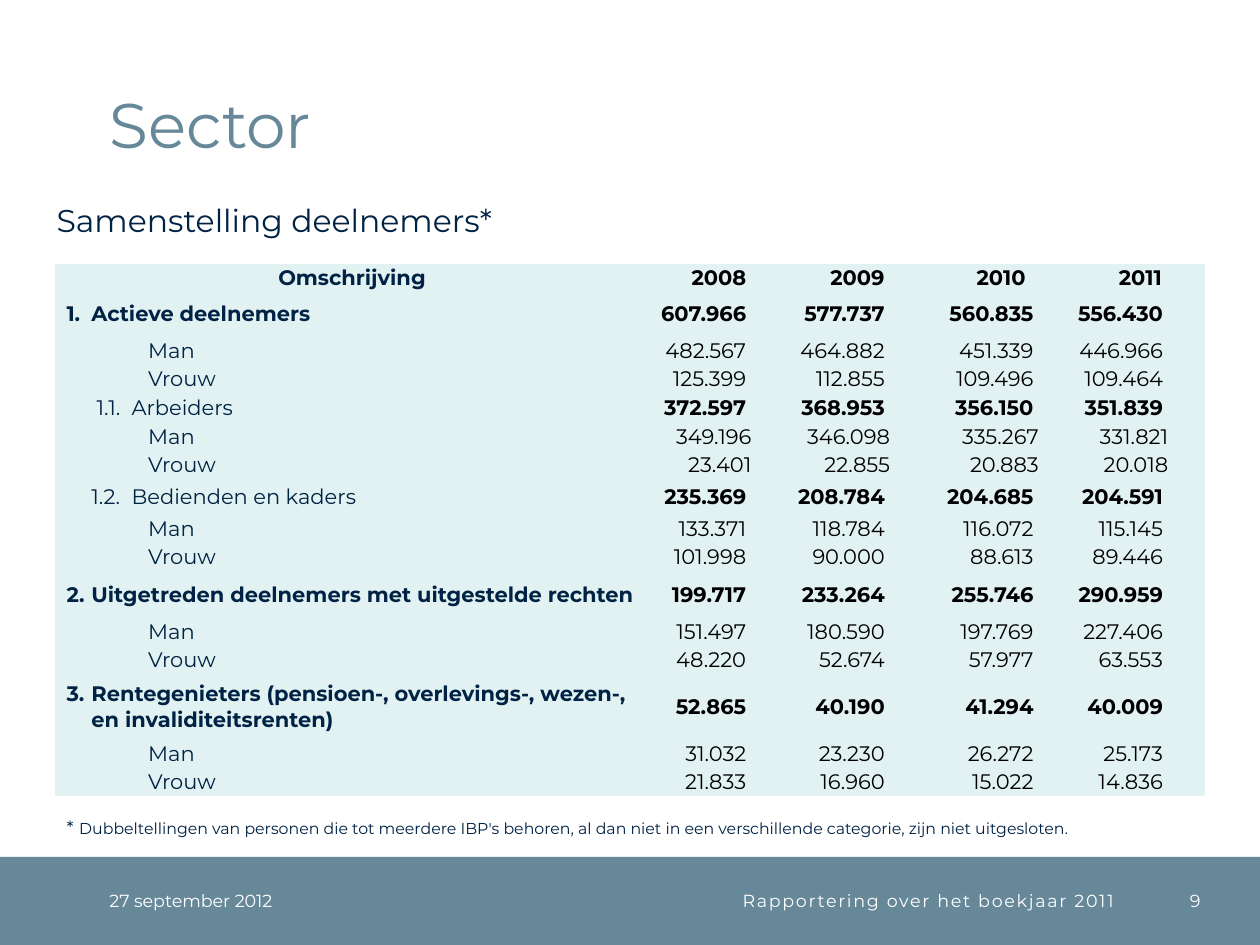
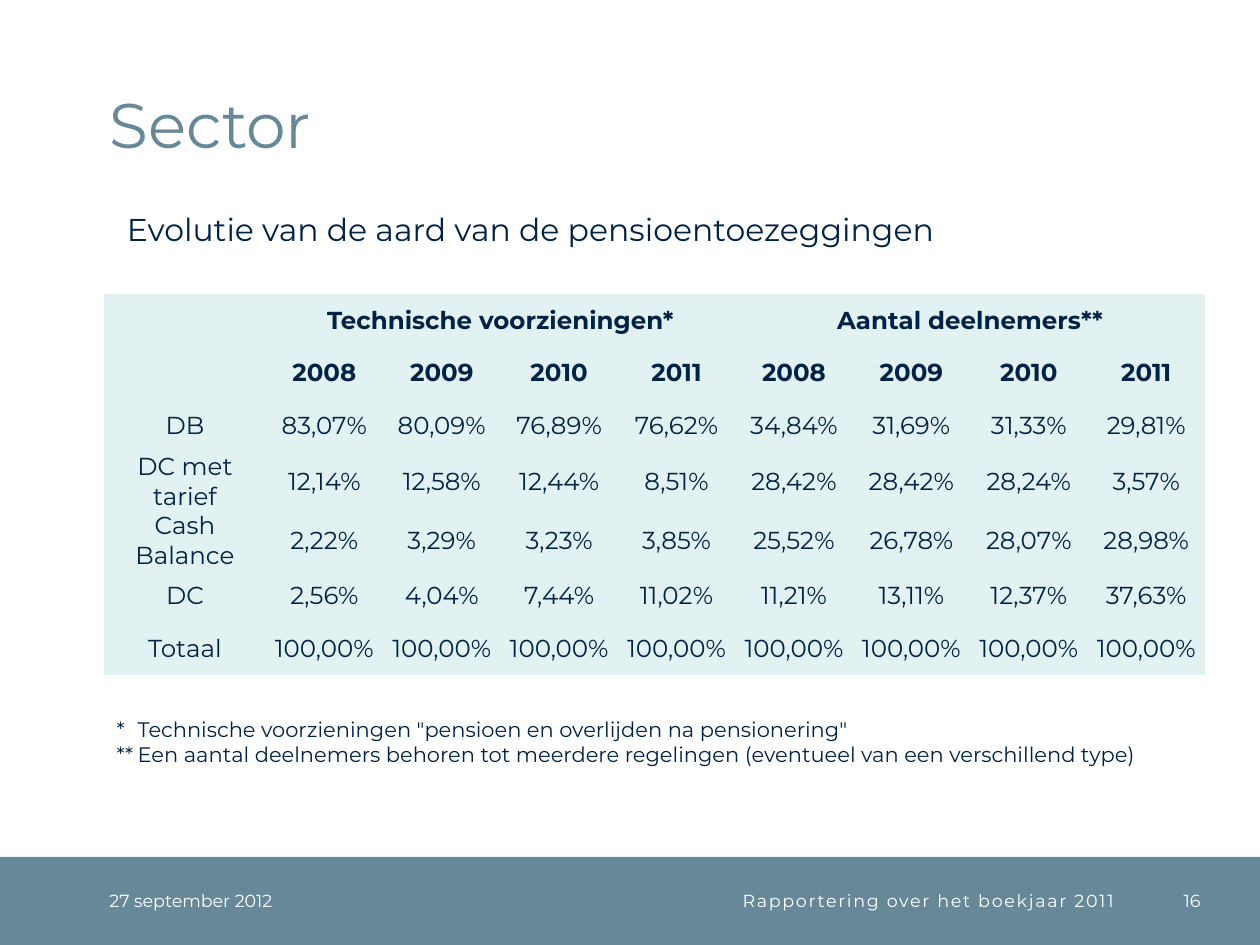
from pptx import Presentation
from pptx.dml.color import RGBColor
from pptx.enum import shapes, text
from pptx.util import Pt

FONT = "Montserrat"
SLATE = RGBColor(0x66, 0x88, 0x99)
NAVY = RGBColor(0x00, 0x22, 0x44)
PALE = RGBColor(0xE2, 0xF2, 0xF2)
BLACK = RGBColor(0, 0, 0)
WHITE = RGBColor(255, 255, 255)
LEFT, CENTER, RIGHT = text.PP_ALIGN.LEFT, text.PP_ALIGN.CENTER, text.PP_ALIGN.RIGHT
NO_STYLE = "{2D5ABB26-0587-4C30-8999-92F81FD0307C}"
YEARS = ["2008", "2009", "2010", "2011"]


def write(para, words, size, color=NAVY, bold=False, align=LEFT, margin=0, hang=0):
    """Fill a paragraph; margin and hang (points) place its hanging indent."""
    para.text = words
    para.alignment = align
    para.font.name = FONT
    para.font.size = Pt(size)
    para.font.bold = bold
    para.font.color.rgb = color
    if margin:
        properties = para._p.get_or_add_pPr()
        properties.set("marL", str(Pt(margin)))
        properties.set("indent", str(Pt(-hang)))


def add_plain_table(page, left, top, widths, heights):
    """Add a borderless table of pale cells without margins."""
    frame = page.shapes.add_table(len(heights), len(widths), Pt(left), Pt(top),
                                  Pt(sum(widths)), Pt(sum(heights)))
    table = frame.table
    table.first_row = table.horz_banding = False
    table._tbl.tblPr[0].text = NO_STYLE
    for column, width in zip(table.columns, widths):
        column.width = Pt(width)
    for row, height in zip(table.rows, heights):
        row.height = Pt(height)
    for cell in table.iter_cells():
        cell.fill.solid()
        cell.fill.fore_color.rgb = PALE
        cell.vertical_anchor = text.MSO_ANCHOR.MIDDLE
        cell.margin_left = cell.margin_right = cell.margin_top = cell.margin_bottom = 0
        cell.text_frame.paragraphs[0].font.size = Pt(12)
    return table


deck = Presentation()
deck.slide_width, deck.slide_height = Pt(720), Pt(540)

# Title, subtitle, band and footers of both pages
pages = []
for number, subtitle, left, top, width in [
    ("9", "Samenstelling deelnemers*", 25.2, 111.6, 300),
    ("16", "Evolutie van de aard van de pensioentoezeggingen", 65.5, 116.6, 607),
]:
    page = deck.slides.add_slide(deck.slide_layouts[5])
    pages.append(page)

    title = page.shapes.title
    title.left, title.top, title.width, title.height = Pt(62.6), Pt(14.4), Pt(621.4), Pt(77.8)
    frame = title.text_frame
    frame.margin_left = frame.margin_right = frame.margin_top = frame.margin_bottom = 0
    frame.vertical_anchor = text.MSO_ANCHOR.BOTTOM
    frame.auto_size = text.MSO_AUTO_SIZE.NONE
    write(frame.paragraphs[0], "Sector", 36, SLATE)
    frame.paragraphs[0].line_spacing = Pt(32)

    band = page.shapes.add_shape(shapes.MSO_SHAPE.RECTANGLE, 0, Pt(489.6), Pt(720), Pt(50.4))
    band.shadow.inherit = False
    band.fill.solid()
    band.fill.fore_color.rgb = SLATE
    band.line.fill.background()

    for words, footer_left, footer_width, align, spacing in [
        ("27 september 2012", 62.6, 127.4, LEFT, 0),
        ("Rapportering over het boekjaar 2011", 190, 446.5, RIGHT, 100),
        (number, 651, 35, RIGHT, 0),
    ]:
        box = page.shapes.add_textbox(Pt(footer_left), Pt(489.6), Pt(footer_width), Pt(50.4))
        frame = box.text_frame
        frame.word_wrap = True
        frame.margin_left = frame.margin_right = frame.margin_top = frame.margin_bottom = 0
        frame.vertical_anchor = text.MSO_ANCHOR.MIDDLE
        write(frame.paragraphs[0], words, 10, WHITE, align=align)
        if spacing:
            frame.paragraphs[0].runs[0].font._element.set("spc", str(spacing))

    box = page.shapes.add_textbox(Pt(left), Pt(top), Pt(width), Pt(28.8))
    box.text_frame.word_wrap = True
    write(box.text_frame.paragraphs[0], subtitle, 18)

members_page, pledges_page = pages

# Members: height, label, bold label, margin, hang, right margin, values
MAN, VROUW = ("Man", False, 53.5, 0), ("Vrouw", False, 53.5, 0)
members = [
    (25.3, ("1.\tActieve deelnemers", True, 21, 14.2), 24, "607.966 577.737 560.835 556.430"),
    (16, MAN, 24, "482.567 464.882 451.339 446.966"),
    (16, VROUW, 24, "125.399 112.855 109.496 109.464"),
    (17.5, ("1.1.\tArbeiders", False, 44, 20), 24, "372.597 368.953 356.150 351.839"),
    (16, MAN, 21, "349.196 346.098 335.267 331.821"),
    (16, VROUW, 21, "23.401 22.855 20.883 20.018"),
    (20.8, ("1.2.\tBedienden en kaders", False, 44, 23), 24, "235.369 208.784 204.685 204.591"),
    (16, MAN, 24, "133.371 118.784 116.072 115.145"),
    (16, VROUW, 24, "101.998 90.000 88.613 89.446"),
    (26.8, ("2.\tUitgetreden deelnemers met uitgestelde rechten", True, 21, 14.2), 24,
     "199.717 233.264 255.746 290.959"),
    (16, MAN, 24, "151.497 180.590 197.769 227.406"),
    (16, VROUW, 24, "48.220 52.674 57.977 63.553"),
    (37.6, ("3.\tRentegenieters (pensioen-, overlevings-, wezen-, en invaliditeitsrenten)",
            True, 21, 14.2), 24, "52.865 40.190 41.294 40.009"),
    (16, MAN, 24, "31.032 23.230 26.272 25.173"),
    (16, VROUW, 24, "21.833 16.960 15.022 14.836"),
]
table = add_plain_table(members_page, 31.2, 151, [340, 79.2, 79.2, 85, 74],
                        [16] + [member[0] for member in members])
for col, heading in enumerate(["Omschrijving"] + YEARS):
    write(table.cell(0, col).text_frame.paragraphs[0], heading, 12,
          BLACK if col else NAVY, True, CENTER)
for row, (_, (label, bold, margin, hang), right, values) in enumerate(members, 1):
    write(table.cell(row, 0).text_frame.paragraphs[0], label, 12, NAVY, bold,
          margin=margin, hang=hang)
    for col, value in enumerate(values.split(), 1):
        cell = table.cell(row, col)
        cell.margin_right = Pt(right)
        write(cell.text_frame.paragraphs[0], value, 12, BLACK, hang > 0, RIGHT)

box = members_page.shapes.add_textbox(Pt(31), Pt(463), Pt(674.6), Pt(20))
box.text_frame.word_wrap = True
para = box.text_frame.paragraphs[0]
write(para, "*", 9, margin=7.2, hang=7.2)
para.runs[0].font.size = Pt(10.5)
span = para.add_run()
span.text = ("\tDubbeltellingen van personen die tot meerdere IBP's behoren, "
             "al dan niet in een verschillende categorie, zijn niet uitgesloten.")

# Pledges: shares per year of provisions, then of members
pledges = [
    ("DB", "83,07% 80,09% 76,89% 76,62% 34,84% 31,69% 31,33% 29,81%".split()),
    ("DC met tarief", "12,14% 12,58% 12,44% 8,51% 28,42% 28,42% 28,24% 3,57%".split()),
    ("Cash Balance", "2,22% 3,29% 3,23% 3,85% 25,52% 26,78% 28,07% 28,98%".split()),
    ("DC", "2,56% 4,04% 7,44% 11,02% 11,21% 13,11% 12,37% 37,63%".split()),
    ("Totaal", ["100,00%"] * 8),
]
table = add_plain_table(pledges_page, 59.6, 168, [92.2] + [67.1] * 8, [30.1] * 7)
table.cell(0, 0).merge(table.cell(1, 0))
for col, heading in [(1, "Technische voorzieningen*"), (5, "Aantal deelnemers**")]:
    table.cell(0, col).merge(table.cell(0, col + 3))
    write(table.cell(0, col).text_frame.paragraphs[0], heading, 14, bold=True, align=CENTER)
for col, year in enumerate(YEARS * 2, 1):
    write(table.cell(1, col).text_frame.paragraphs[0], year, 14, bold=True, align=CENTER)
for row, (label, shares) in enumerate(pledges, 2):
    for col, words in enumerate([label] + shares):
        write(table.cell(row, col).text_frame.paragraphs[0], words, 14, align=CENTER)

box = pledges_page.shapes.add_textbox(Pt(59.6), Pt(406), Pt(629), Pt(36))
frame = box.text_frame
frame.word_wrap = True
write(frame.paragraphs[0], '*\tTechnische voorzieningen "pensioen en overlijden na pensionering"',
      12, margin=12, hang=12)
write(frame.add_paragraph(),
      "**\tEen aantal deelnemers behoren tot meerdere regelingen "
      "(eventueel van een verschillend type)", 12, margin=12, hang=12)

deck.save("out.pptx")
